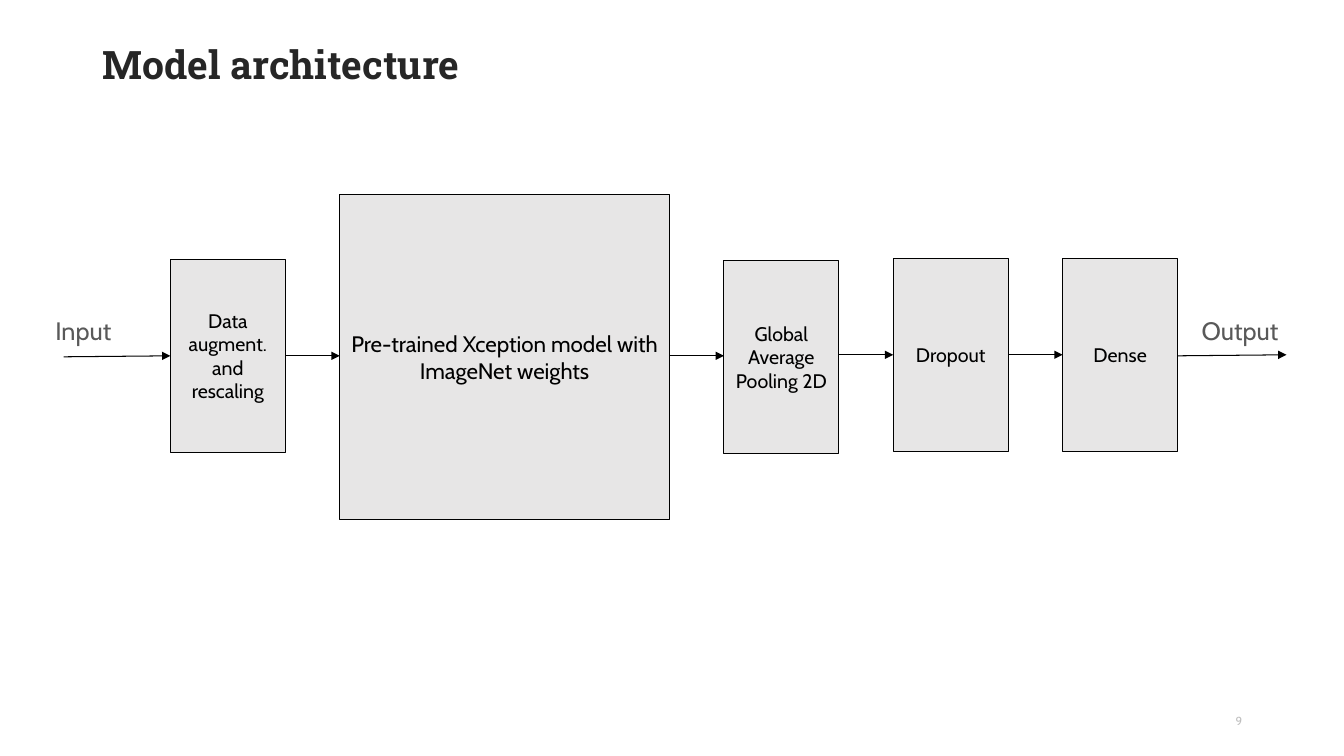
"""Build the model architecture slide."""
import pptx
import pptx.util
import pptx.dml.color
import pptx.enum.shapes
import pptx.enum.text
import pptx.oxml
import pptx.oxml.ns

Inches = pptx.util.Inches
Pt = pptx.util.Pt
Align = pptx.enum.text.PP_ALIGN
Anchor = pptx.enum.text.MSO_ANCHOR


def color(code):
    return pptx.dml.color.RGBColor.from_string(code)


class Deck:
    def __init__(self):
        self.show = pptx.Presentation()
        self.show.slide_width = Inches(13.33)
        self.show.slide_height = Inches(7.5)
        self.slide = self.show.slides.add_slide(self.show.slide_layouts[5])
        self.font, self.ink, self.fill = "Cabin", "000000", "E7E6E6"

    def text(self, shape, words, size, ink, align=Align.LEFT, anchor=Anchor.TOP,
             pad=0.1, font=None, bold=False):
        frame = shape.text_frame
        frame.text = words
        form = {"word_wrap": True, "vertical_anchor": anchor,
                "auto_size": pptx.enum.text.MSO_AUTO_SIZE.NONE,
                "margin_top": Inches(pad), "margin_bottom": Inches(pad),
                "margin_left": Inches(0.1), "margin_right": Inches(0.1)}
        for key, value in form.items():
            setattr(frame, key, value)
        para = frame.paragraphs[0]
        para.alignment = align
        look = {"name": font or self.font, "size": Pt(size), "bold": bold}
        for key, value in look.items():
            setattr(para.runs[0].font, key, value)
        para.runs[0].font.color.rgb = color(ink)
        return para

    def title(self, words, left, top, width, height):
        shape = self.slide.shapes.title
        place = {"left": left, "top": top, "width": width, "height": height}
        for key, value in place.items():
            setattr(shape, key, Inches(value))
        para = self.text(shape, words, 28, "262626", pad=0.05,
                         font="Roboto Slab", bold=True)
        para.line_spacing = 0.9

    def label(self, words, left, top, width, height, size, ink, **form):
        shape = self.slide.shapes.add_textbox(*map(Inches, (left, top, width, height)))
        self.text(shape, words, size, ink, **form)

    def box(self, words, left, top, width, height, size):
        shape = self.slide.shapes.add_shape(
            pptx.enum.shapes.MSO_SHAPE.RECTANGLE,
            *map(Inches, (left, top, width, height)))
        shape.shadow.inherit = False
        shape.fill.solid()
        shape.fill.fore_color.rgb = color(self.fill)
        shape.line.color.rgb = color(self.ink)
        shape.line.width = Pt(0.75)
        self.text(shape, words, size, self.ink, Align.CENTER, Anchor.MIDDLE)

    def arrow(self, left, start, right, end):
        link = self.slide.shapes.add_connector(
            pptx.enum.shapes.MSO_CONNECTOR.STRAIGHT,
            *map(Inches, (left, start, right, end)))
        link.line.color.rgb = color(self.ink)
        link.line.width = Pt(0.75)
        space = pptx.oxml.ns.nsdecls("a")
        props = link._element.spPr
        tip = pptx.oxml.parse_xml(f'<a:tailEnd {space} type="triangle"/>')
        props.get_or_add_ln().append(tip)
        props.append(pptx.oxml.parse_xml(f"<a:effectLst {space}/>"))


def main():
    deck = Deck()
    deck.title("Model architecture", 0.92, 0.4, 11.5, 1.08)
    deck.label("9", 9.42, 6.95, 3, 0.4, 8.3, "BFBFBF",
               align=Align.RIGHT, anchor=Anchor.MIDDLE, pad=0.05)
    deck.label("Input", 0.45, 3.03, 0.98, 0.3, 18, "595959")
    deck.label("Output", 11.82, 3.03, 1.06, 0.3, 18, "595959")

    steps = [
        ("Data augment. and rescaling", 1.14, 2.57, 1.92, 14, 3.53),
        ("Pre-trained Xception model with ImageNet weights", 3.27, 1.93, 3.22, 16, 3.53),
        ("Global Average Pooling 2D", 1.14, 2.58, 1.92, 14, 3.53),
        ("Dropout", 1.14, 2.56, 1.92, 14, 3.52),
        ("Dense", 1.14, 2.56, 1.92, 14, 3.52),
    ]
    gap, left = 0.54, 1.69
    deck.arrow(0.63, 3.54, left, 3.53)
    for i, (words, width, top, height, size, level) in enumerate(steps):
        if i:
            deck.arrow(left - gap, level, left, level)
        deck.box(words, left, top, width, height, size)
        left += width + gap
    deck.arrow(left - gap, 3.53, 12.76, 3.52)
    deck.show.save("out.pptx")


if __name__ == "__main__":
    main()
